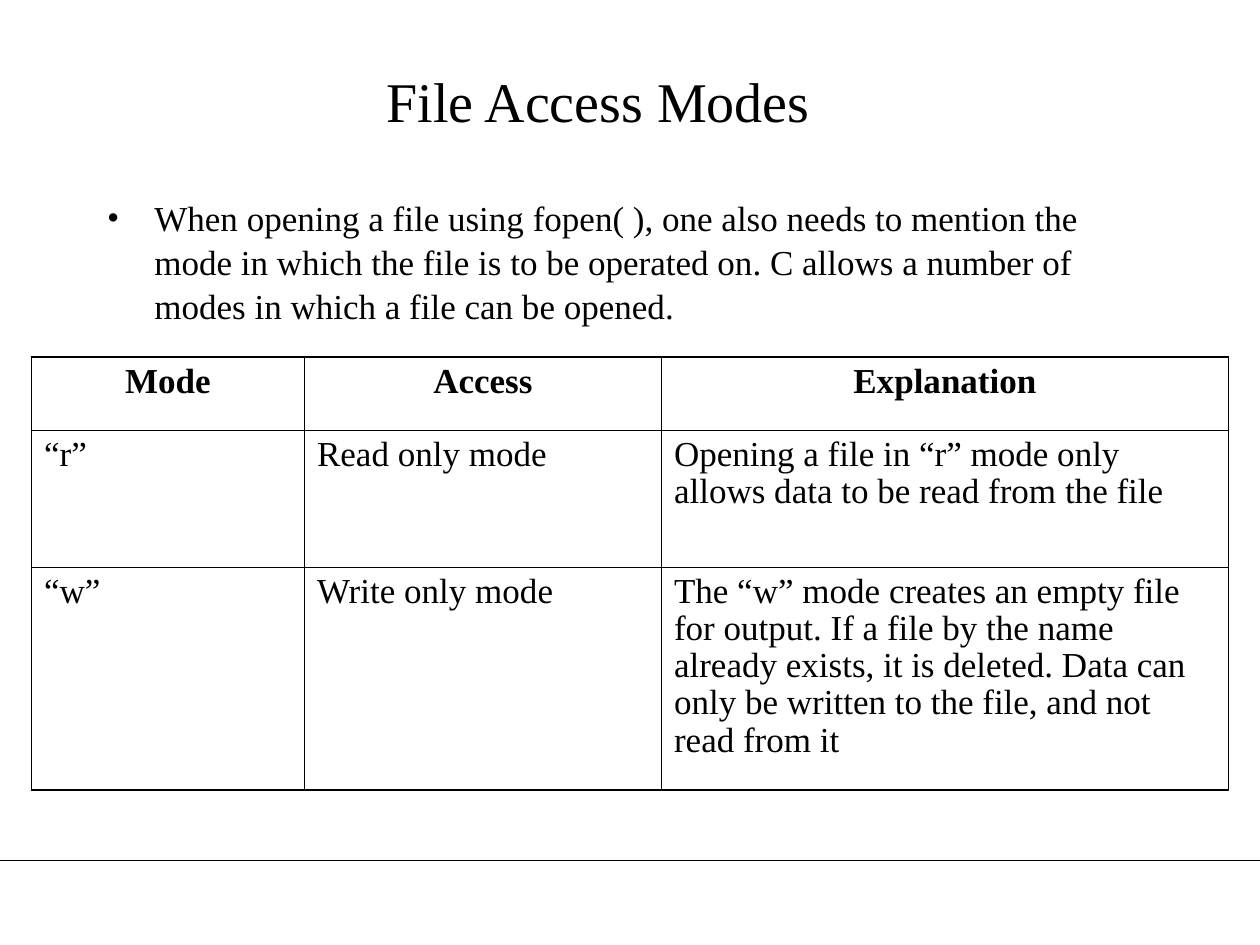
from dataclasses import dataclass

from lxml.etree import SubElement
from pptx import Presentation
from pptx.dml.color import RGBColor
from pptx.enum.shapes import MSO_CONNECTOR as Connector
from pptx.enum.text import MSO_ANCHOR as Anchor, MSO_AUTO_SIZE as AutoSize, PP_ALIGN as Align
from pptx.oxml.ns import qn
from pptx.util import Pt


@dataclass(frozen=True)
class Theme:
    font: str = "Times New Roman"
    ink: str = "000000"
    title_size: float = 32
    text_size: float = 20
    outer_border: float = 1.08
    inner_border: float = 0.45
    rule_width: float = 0.75
    body_spacing: float = 1.04
    cell_spacing: float = 0.965


@dataclass(frozen=True)
class Box:
    left: float
    top: float
    width: float
    height: float


@dataclass(frozen=True)
class AccessMode:
    mode: str
    access: str
    explanation: str


THEME = Theme()
SLIDE_W, SLIDE_H = 720, 540
TITLE_BOX = Box(36, 18, 612, 78)
BODY_BOX = Box(54, 108, 594, 84)
TABLE_BOX = Box(18, 204, 684, 247.5)
COLUMN_WIDTHS = (156, 204, 324)
ROW_HEIGHTS = (42, 78, 127.5)
RULE_Y = 491.75
BULLET_INDENT = 27

HEADER = AccessMode("Mode", "Access", "Explanation")
MODES = (
    AccessMode("“r”", "Read only mode",
               "Opening a file in “r” mode only allows data to be read from the file"),
    AccessMode("“w”", "Write only mode",
               "The “w” mode creates an empty file for output. If a file by the name "
               "already exists, it is deleted. Data can only be written to the file, "
               "and not read from it"),
)
INTRO = ("When opening a file using fopen( ), one also needs to mention the mode in "
         "which the file is to be operated on. C allows a number of modes in which "
         "a file can be opened.")


def format_text(p, size: float, align=Align.LEFT, bold: bool = False,
                spacing: float = 1.0) -> None:
    p.alignment = align
    p.space_before = Pt(0)
    p.line_spacing = spacing
    for r in p.runs:
        r.font.name = THEME.font
        r.font.size = Pt(size)
        r.font.bold = bold
        r.font.color.rgb = RGBColor.from_string(THEME.ink)


def fill_placeholder(sp, box: Box, text: str, anchor):
    sp.left, sp.top = Pt(box.left), Pt(box.top)
    sp.width, sp.height = Pt(box.width), Pt(box.height)
    tf = sp.text_frame
    tf.text = text
    tf.word_wrap = True
    tf.auto_size = AutoSize.NONE
    tf.vertical_anchor = anchor
    return tf.paragraphs[0]


def add_bullet(p) -> None:
    pPr = p._p.get_or_add_pPr()
    pPr.set("marL", str(Pt(BULLET_INDENT)))
    pPr.set("indent", str(-Pt(BULLET_INDENT)))
    color = SubElement(pPr, qn("a:buClr"))
    SubElement(color, qn("a:srgbClr"), val=THEME.ink)
    SubElement(pPr, qn("a:buFont"), typeface=THEME.font)
    SubElement(pPr, qn("a:buChar"), char="•")


def set_borders(cell, outer: dict[str, bool]) -> None:
    tcPr = cell._tc.get_or_add_tcPr()
    for side, is_outer in outer.items():
        width = THEME.outer_border if is_outer else THEME.inner_border
        ln = SubElement(tcPr, qn(f"a:ln{side}"), w=str(Pt(width)))
        fill = SubElement(ln, qn("a:solidFill"))
        SubElement(fill, qn("a:srgbClr"), val=THEME.ink)


def add_mode_table(slide, rows: tuple[AccessMode, ...], box: Box) -> None:
    last_row, last_col = len(rows) - 1, len(COLUMN_WIDTHS) - 1
    table = slide.shapes.add_table(len(rows), len(COLUMN_WIDTHS), Pt(box.left), Pt(box.top),
                                   Pt(box.width), Pt(box.height)).table
    table.first_row = table.horz_banding = False
    for column, width in zip(table.columns, COLUMN_WIDTHS):
        column.width = Pt(width)
    for i, (row, height) in enumerate(zip(rows, ROW_HEIGHTS)):
        table.rows[i].height = Pt(height)
        for j, text in enumerate((row.mode, row.access, row.explanation)):
            cell = table.cell(i, j)
            cell.text_frame.text = text
            is_header = i == 0
            format_text(cell.text_frame.paragraphs[0], THEME.text_size,
                        Align.CENTER if is_header else Align.LEFT, is_header,
                        THEME.cell_spacing)
            set_borders(cell, {"L": j == 0, "R": j == last_col,
                               "T": i == 0, "B": i == last_row})
            cell.fill.background()


def add_rule(slide, y: float) -> None:
    line = slide.shapes.add_connector(Connector.STRAIGHT, Pt(0), Pt(y), Pt(SLIDE_W), Pt(y))
    line.line.color.rgb = RGBColor.from_string(THEME.ink)
    line.line.width = Pt(THEME.rule_width)
    SubElement(line._element.spPr, qn("a:effectLst"))


def main() -> None:
    prs = Presentation()
    prs.slide_width, prs.slide_height = Pt(SLIDE_W), Pt(SLIDE_H)
    slide = prs.slides.add_slide(prs.slide_layouts[1])

    # Footer rule
    add_rule(slide, RULE_Y)

    # Title
    p = fill_placeholder(slide.shapes.title, TITLE_BOX, "File Access Modes", Anchor.MIDDLE)
    format_text(p, THEME.title_size, Align.CENTER)

    # Introduction
    p = fill_placeholder(slide.placeholders[1], BODY_BOX, INTRO, Anchor.TOP)
    add_bullet(p)
    format_text(p, THEME.text_size, spacing=THEME.body_spacing)

    # Table of modes
    add_mode_table(slide, (HEADER, *MODES), TABLE_BOX)

    prs.save("out.pptx")


if __name__ == "__main__":
    main()
